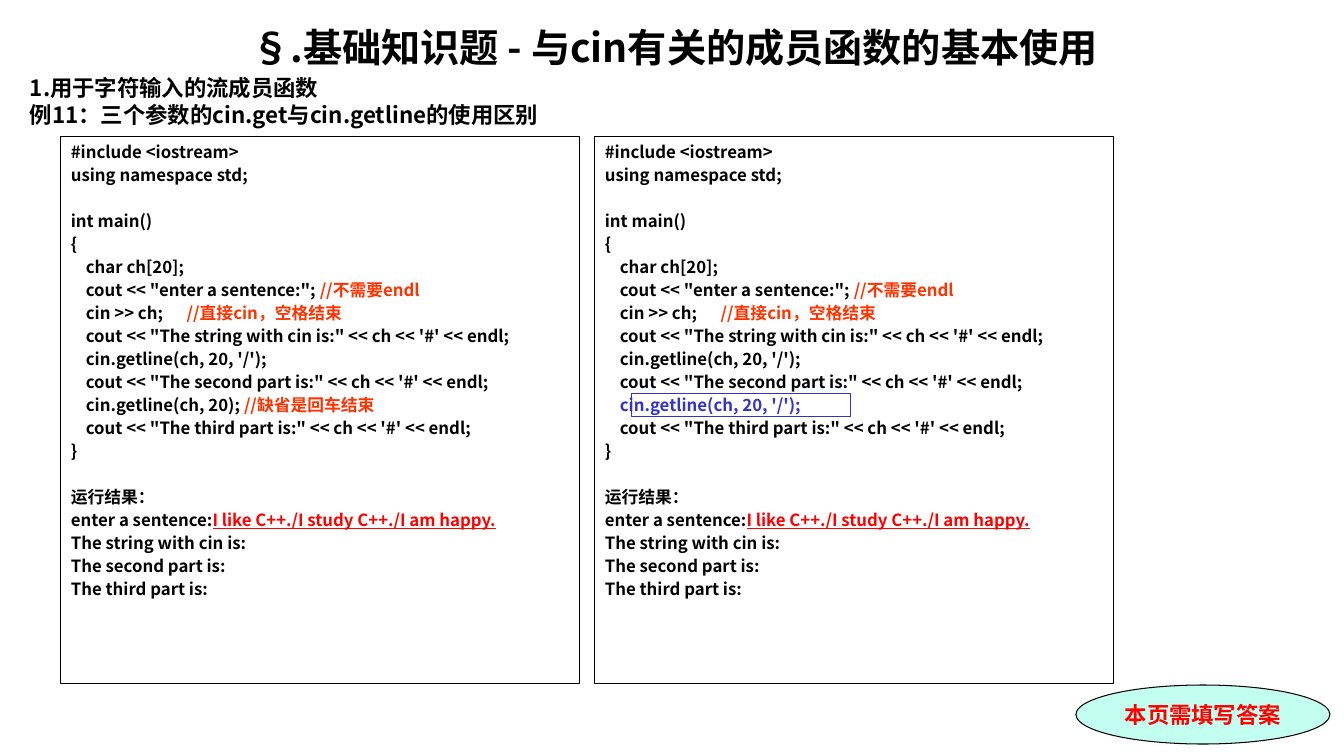
from lxml import etree
from pptx import Presentation
from pptx.dml.color import RGBColor
from pptx.enum.shapes import MSO_SHAPE
from pptx.enum.text import MSO_ANCHOR, PP_ALIGN
from pptx.oxml.ns import qn
from pptx.util import Pt

PX = 914400 / 100.8
RECT, OVAL = MSO_SHAPE.RECTANGLE, MSO_SHAPE.OVAL
TOP, MIDDLE = MSO_ANCHOR.TOP, MSO_ANCHOR.MIDDLE
LEFT, CENTER = PP_ALIGN.LEFT, PP_ALIGN.CENTER
SANS, SERIF = "Noto Sans CJK SC", "Times New Roman"
BLACK, RED, ORANGE, BLUE, MINT = "000000", "FF0000", "FF3300", "3333CC", "C2FFF0"
INDENT, TAB = 15, 119

# Each line: indent level, then pieces of (text, colour)
HEAD = [
    (0, ("#include <iostream>", BLACK)),
    (0, ("using namespace std;", BLACK)),
    (0, ("int main()", BLACK)),
    (0, ("{", BLACK)),
    (1, ("char ch[20];", BLACK)),
    (1, ('cout << "enter a sentence:"; ', BLACK), ("//不需要endl", ORANGE)),
    (1, ("cin >> ch;\t", BLACK), ("//直接cin，空格结束", ORANGE)),
    (1, ("cout << \"The string with cin is:\" << ch << '#' << endl;", BLACK)),
    (1, ("cin.getline(ch, 20, '/');", BLACK)),
    (1, ("cout << \"The second part is:\" << ch << '#' << endl;", BLACK)),
]
TAIL = [
    (1, ("cout << \"The third part is:\" << ch << '#' << endl;", BLACK)),
    (0, ("}", BLACK)),
    (0, ("运行结果：", BLACK)),
    (0, ("enter a sentence:", BLACK), ("I like C++./I study C++./I am happy.", RED)),
    (0, ("The string with cin is:", BLACK)),
    (0, ("The second part is:", BLACK)),
    (0, ("The third part is:", BLACK)),
]
SPACED = ("int main()", "运行结果：")
ENTER = (1, ("cin.getline(ch, 20); ", BLACK), ("//缺省是回车结束", ORANGE))
SLASH = (1, ("cin.getline(ch, 20, '/');", BLUE))


def px(n):
    return round(n * PX)


def color(code):
    return RGBColor.from_string(code)


def style(run, size, code, font=SANS):
    run.font.size, run.font.bold, run.font.name = Pt(size), True, font
    run.font.color.rgb = color(code)
    east = etree.SubElement(run.font._element, qn("a:ea"))
    east.set("typeface", SANS)


def space(para, size, before):
    """Set a fixed line height of 1.2 times the text size."""
    para.line_spacing = Pt(size * 1.2)
    para.space_before = Pt(before)


def indent(para, level):
    """Indent a code line and give it the stop for its remark."""
    props = para._p.get_or_add_pPr()
    props.set("marL", str(px(INDENT * level)))
    props.set("indent", "0")
    stops = etree.SubElement(props, qn("a:tabLst"))
    etree.SubElement(stops, qn("a:tab"), pos=str(px(TAB)), algn="l")


def outline(slide, kind, box, line, fill=None):
    shape = slide.shapes.add_shape(kind, *map(px, box))
    shape.shadow.inherit = False
    shape.line.color.rgb = color(line)
    shape.line.width = Pt(0.75)
    if fill:
        shape.fill.solid()
        shape.fill.fore_color.rgb = color(fill)
    else:
        shape.fill.background()
    return shape


def title(slide, box):
    frame = slide.shapes.add_textbox(*map(px, box)).text_frame
    frame.word_wrap = True
    frame.text = (
        "§.基础知识题 - 与cin有关的成员函数的基本使用\n"
        "1.用于字符输入的流成员函数\v例11：三个参数的cin.get与cin.getline的使用区别"
    )
    for para, size, align in zip(frame.paragraphs, (28, 16), (CENTER, LEFT)):
        para.alignment = align
        space(para, size, size * 0.2)
        for run in para.runs:
            style(run, size, BLACK)


def panel(slide, box, lines):
    frame = outline(slide, RECT, box, BLACK).text_frame
    frame.word_wrap = True
    frame.vertical_anchor = TOP
    for i, (level, *parts) in enumerate(lines):
        para = frame.add_paragraph() if i else frame.paragraphs[0]
        para.alignment = LEFT
        space(para, 12, 18.4 if parts[0][0] in SPACED else 2)
        indent(para, level)
        for text, code in parts:
            run = para.add_run()
            run.text = text
            style(run, 12, code)
            if code == RED:
                run.font.underline = True


def mark(slide, box):
    """Frame the changed call inside a panel."""
    left, top = box[:2]
    outline(slide, RECT, (left + 37, top + 257, 219, 23), BLUE)


def badge(slide, box):
    frame = outline(slide, OVAL, box, BLACK, MINT).text_frame
    frame.word_wrap = False
    frame.vertical_anchor = MIDDLE
    frame.text = "本页需填写答案"
    para = frame.paragraphs[0]
    para.alignment = CENTER
    style(para.runs[0], 16, RED, SERIF)


def main():
    deck = Presentation()
    deck.slide_width, deck.slide_height = px(1344), px(756)
    slide = deck.slides.add_slide(deck.slide_layouts[6])
    title(slide, (20, 18, 1309, 715))
    boxes = [(left, 137, 519, 547) for left in (61, 595)]
    for box, call in zip(boxes, (ENTER, SLASH)):
        panel(slide, box, HEAD + [call] + TAIL)
    mark(slide, boxes[1])
    badge(slide, (1076, 685, 254, 59))
    deck.save("out.pptx")


if __name__ == "__main__":
    main()
